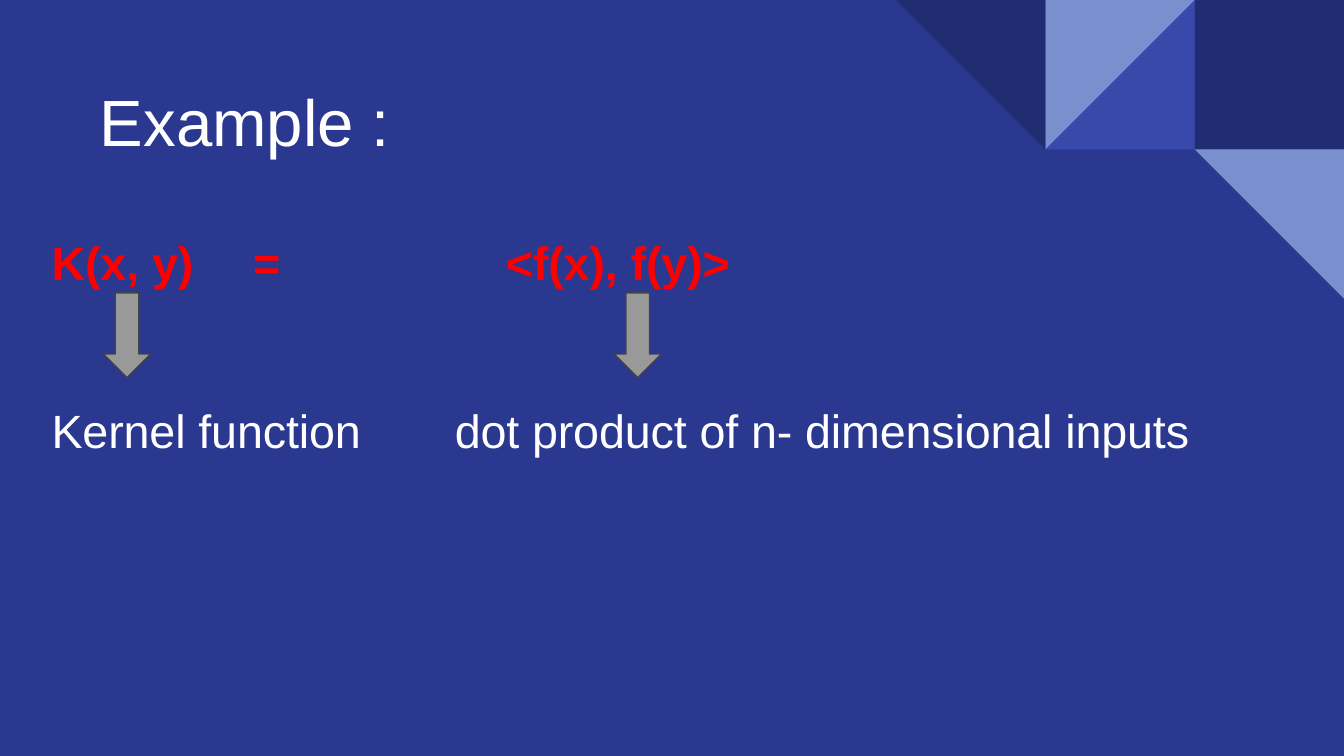
from dataclasses import dataclass

from pptx import Presentation
from pptx.dml.color import RGBColor as RGB
from pptx.enum.shapes import MSO_SHAPE as SHAPE
from pptx.enum.text import MSO_ANCHOR as ANCHOR, MSO_AUTO_SIZE as AUTO, PP_ALIGN as ALIGN
from pptx.oxml.ns import qn
from pptx.util import Inches, Pt
from lxml.etree import SubElement


@dataclass(frozen=True)
class Theme:
    font: str = "Arial"
    title_size: int = 35
    body_size: int = 25
    tracking: str = "-5"
    ground: str = "2A3890"
    dark: str = "212D73"
    mid: str = "3849AB"
    light: str = "7890CD"
    text: str = "FFFFFF"
    formula: str = "FF0000"
    arrow: str = "999999"
    outline: str = "434343"


T = Theme()
W = Inches(10)
H = W * 9 // 16
CELL = W / 9
ROW = Inches(0.01) / H


def share(x, y, w, h):
    return [round(v) for v in (x * W, y * H, w * W, h * H)]


def set_all(target, values):
    for name, value in values.items():
        setattr(target, name, value)


def write(sp, box, text, size, color, bold=False, tab=None):
    set_all(sp, dict(zip(("left", "top", "width", "height"), box)))
    tf = sp.text_frame
    set_all(tf, dict(margin_left=0, margin_right=0, margin_bottom=0,
                     margin_top=Pt(1), word_wrap=True,
                     vertical_anchor=ANCHOR.TOP, auto_size=AUTO.SHAPE_TO_FIT_TEXT))
    p = tf.paragraphs[0]
    set_all(p, dict(alignment=ALIGN.LEFT, space_before=Pt(1)))
    pPr = p._p.get_or_add_pPr()
    pPr.set("marL", str(Pt(1)))
    pPr.set("indent", "0")
    if tab:
        stops = SubElement(pPr, qn("a:tabLst"))
        SubElement(stops, qn("a:tab"), pos=str(round(tab * W)), algn="l")
    r = p.add_run()
    r.text = text
    set_all(r.font, dict(name=T.font, size=Pt(size), bold=bold))
    r.font.color.rgb = RGB.from_string(color)
    r._r.get_or_add_rPr().set("spc", T.tracking)


def add_corner(s, col, row):
    tiles = (
        (2, 0, T.dark, ((0, 0), (1, 0), (1, 1), (0, 1))),
        (1, 0, T.mid, ((1, 0), (1, 1), (0, 1))),
        (1, 0, T.light, ((0, 0), (1, 0), (0, 1))),
        (0, 0, T.dark, ((0, 0), (1, 0), (1, 1))),
        (2, 1, T.light, ((0, 0), (1, 0), (1, 1))),
    )
    for dx, dy, color, corners in tiles:
        points = [(col + dx + x, row + dy + y) for x, y in corners]
        fb = s.shapes.build_freeform(*points[0], scale=CELL)
        fb.add_line_segments(points[1:], close=True)
        sp = fb.convert_to_shape()
        sp.shadow.inherit = False
        sp.fill.solid()
        sp.fill.fore_color.rgb = RGB.from_string(color)
        sp.line.fill.background()


def add_arrow(s, box):
    sp = s.shapes.add_shape(SHAPE.DOWN_ARROW, *box)
    sp.shadow.inherit = False
    sp.fill.solid()
    sp.fill.fore_color.rgb = RGB.from_string(T.arrow)
    sp.line.color.rgb = RGB.from_string(T.outline)
    sp.line.width = Pt(0.75)


def add_equation(s, top):
    formula = dict(size=T.body_size, color=T.formula, bold=True)
    caption = dict(size=T.body_size, color=T.text)
    label_drop, arrow_drop, line = 125 * ROW, 45 * ROW, 44 * ROW
    texts = (
        (0.037, 0, 0.23, "K(x, y)\t=", dict(formula, tab=0.204)),
        (0.375, 0, 0.17, "<f(x), f(y)>", formula),
        (0.037, label_drop, 0.234, "Kernel function", caption),
        (0.337, label_drop, 0.552, "dot product of n- dimensional inputs", caption),
    )
    for left, drop, width, text, style in texts:
        box = share(left, top + drop, width, line)
        write(s.shapes.add_textbox(*box), box, text, **style)
    for left in (0.077, 0.457):
        add_arrow(s, share(left, top + arrow_drop, 0.035, 63 * ROW))


def main():
    prs = Presentation()
    set_all(prs, dict(slide_width=W, slide_height=H))
    s = prs.slides.add_slide(prs.slide_layouts[5])
    s.background.fill.solid()
    s.background.fill.fore_color.rgb = RGB.from_string(T.ground)
    add_corner(s, 6, 0)
    write(s.shapes.title, share(0.073, 59 * ROW, 0.218, 61 * ROW),
          "Example :", T.title_size, T.text)
    add_equation(s, 173 * ROW)
    prs.save("out.pptx")


if __name__ == "__main__":
    main()
